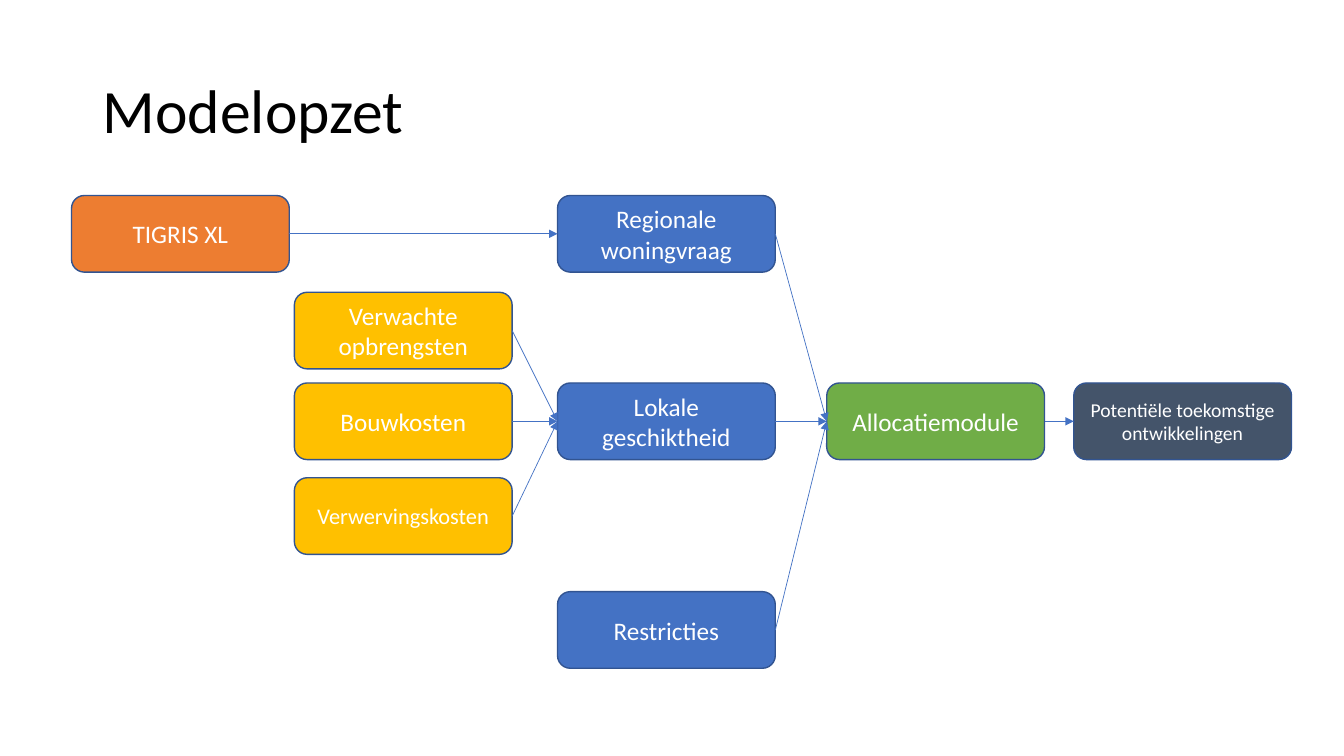
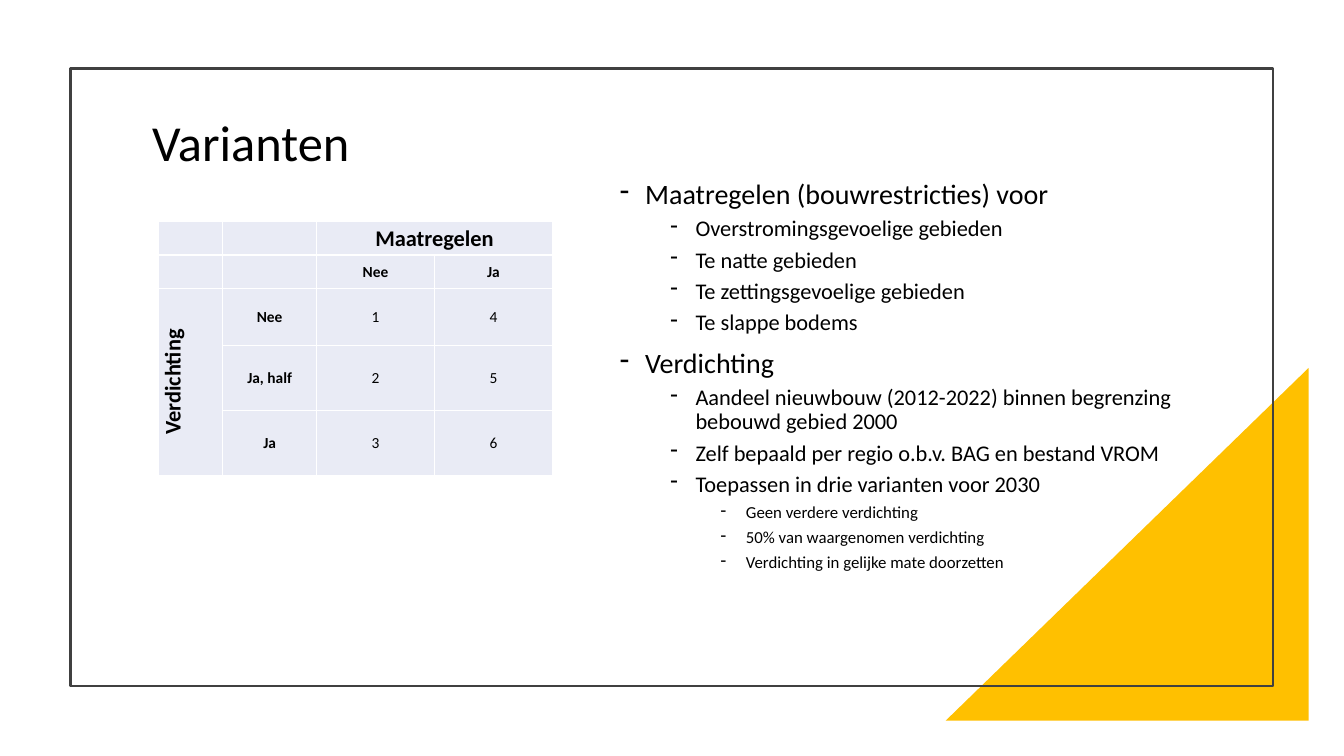
from lxml import etree
from pptx import Presentation
from pptx import util as u
from pptx.dml.color import RGBColor
from pptx.enum import shapes, text
from pptx.oxml.ns import qn

FONT = "Calibri"
WHITE = RGBColor(0xFF, 0xFF, 0xFF)
BLACK = RGBColor(0, 0, 0)
BLUE = RGBColor(0x44, 0x72, 0xC4)
OUTLINE = RGBColor(0x32, 0x54, 0x91)
ORANGE = RGBColor(0xED, 0x7D, 0x31)
GOLD = RGBColor(0xFF, 0xC0, 0x00)
GREEN = RGBColor(0x70, 0xAD, 0x47)
SLATE = RGBColor(0x44, 0x54, 0x6A)
FRAME = RGBColor(0x40, 0x40, 0x40)
CELL = RGBColor(0xE9, 0xEB, 0xF5)

SLIDE_W, SLIDE_H = 13.33, 7.5
TITLE_LAYOUT = 5
RIGHT, LEFT = 3, 1

# Model diagram: column lefts, row tops and the size of every box
COLS = (0.71, 2.92, 5.53, 8.2, 10.65)
ROWS = (1.94, 2.9, 3.8, 4.74, 5.87)
BOX_W, BOX_H = 2.16, 0.76
BOXES = [  # text, column, row, fill, size
    ("Regionale woningvraag", 2, 0, BLUE, 18),
    ("Lokale geschiktheid", 2, 2, BLUE, 18),
    ("Restricties", 2, 4, BLUE, 18),
    ("TIGRIS XL", 0, 0, ORANGE, 18),
    ("Verwachte opbrengsten", 1, 1, GOLD, 18),
    ("Bouwkosten", 1, 2, GOLD, 18),
    ("Verwervingskosten", 1, 3, GOLD, 16),
    ("Allocatiemodule", 3, 2, GREEN, 18),
    ("Potentiële toekomstige ontwikkelingen", 4, 2, SLATE, 14),
]
FLOWS = [  # sources, target
    (("Regionale woningvraag", "Lokale geschiktheid", "Restricties"),
     "Allocatiemodule"),
    (("Verwachte opbrengsten", "Bouwkosten", "Verwervingskosten"),
     "Lokale geschiktheid"),
    (("TIGRIS XL",), "Regionale woningvraag"),
    (("Allocatiemodule",), "Potentiële toekomstige ontwikkelingen"),
]

BULLET_SIZES = (20, 16, 12)
BULLETS = [  # level, text
    (0, "Maatregelen (bouwrestricties) voor"),
    (1, "Overstromingsgevoelige gebieden"),
    (1, "Te natte gebieden"),
    (1, "Te zettingsgevoelige gebieden"),
    (1, "Te slappe bodems"),
    (0, "Verdichting"),
    (1, "Aandeel nieuwbouw (2012-2022) binnen begrenzing bebouwd gebied 2000"),
    (1, "Zelf bepaald per regio o.b.v. BAG en bestand VROM"),
    (1, "Toepassen in drie varianten voor 2030"),
    (2, "Geen verdere verdichting"),
    (2, "50% van waargenomen verdichting"),
    (2, "Verdichting in gelijke mate doorzetten"),
]

VARIANTS = [
    ["", "", "Maatregelen", ""],
    ["", "", "Nee", "Ja"],
    ["Verdichting", "Nee", "1", "4"],
    ["", "Ja, half", "2", "5"],
    ["", "Ja", "3", "6"],
]
VARIANT_COLS = (0.64, 0.93, 1.17, 1.17)
VARIANT_ROWS = (0.33, 0.33, 0.57, 0.64, 0.65)


def inches(box):
    return [u.Inches(v) for v in box]


def add_run(p, words, size, color, bold=False):
    r = p.add_run()
    r.text = words
    r.font.name, r.font.size, r.font.bold = FONT, u.Pt(size), bold
    r.font.color.rgb = color


def titled_slide(prs, words, size, box):
    s = prs.slides.add_slide(prs.slide_layouts[TITLE_LAYOUT])
    title = s.shapes.title
    title.left, title.top, title.width, title.height = inches(box)
    tf = title.text_frame
    tf.auto_size = text.MSO_AUTO_SIZE.NONE
    tf.vertical_anchor = text.MSO_ANCHOR.MIDDLE
    p = tf.paragraphs[0]
    p.alignment, p.line_spacing = text.PP_ALIGN.LEFT, 0.9
    add_run(p, words, size, BLACK)
    return s


def add_shape(s, preset, box, fill=None, line=None, width=1):
    sp = s.shapes.add_shape(preset, *inches(box))
    sp.shadow.inherit = False
    if fill is None:
        sp.fill.background()
    else:
        sp.fill.solid()
        sp.fill.fore_color.rgb = fill
    if line is None:
        sp.line.fill.background()
    else:
        sp.line.color.rgb, sp.line.width = line, u.Pt(width)
    return sp


def model_box(s, words, col, row, fill, size):
    sp = add_shape(s, shapes.MSO_SHAPE.ROUNDED_RECTANGLE,
                   (COLS[col], ROWS[row], BOX_W, BOX_H), fill, OUTLINE)
    tf = sp.text_frame
    tf.word_wrap, tf.vertical_anchor = True, text.MSO_ANCHOR.MIDDLE
    p = tf.paragraphs[0]
    p.alignment = text.PP_ALIGN.CENTER
    add_run(p, words, size, WHITE)
    return sp


def arrow(s, source, target):
    line = s.shapes.add_connector(shapes.MSO_CONNECTOR.STRAIGHT, 0, 0, 0, 0)
    line.begin_connect(source, RIGHT)
    line.end_connect(target, LEFT)
    line.line.color.rgb, line.line.width = BLUE, u.Pt(0.5)
    etree.SubElement(line.line._get_or_add_ln(), qn("a:tailEnd"), type="triangle")
    etree.SubElement(line._element.spPr, qn("a:effectLst"))


def bullet_list(s, box):
    tf = s.shapes.add_textbox(*inches(box)).text_frame
    tf.word_wrap = True
    for i, (level, words) in enumerate(BULLETS):
        p = tf.add_paragraph() if i else tf.paragraphs[0]
        p.level = level
        pPr = p._p.get_or_add_pPr()
        pPr.set("marL", str(u.Inches(0.25 + 0.5 * level)))
        pPr.set("indent", str(u.Inches(-0.25)))
        etree.SubElement(pPr, qn("a:buChar"), char="-")
        p.line_spacing = 0.9
        if i:
            p.space_before = u.Pt(5 if level else 10)
        add_run(p, words, BULLET_SIZES[level], BLACK)


def style_cell(cell):
    tcPr = cell._tc.get_or_add_tcPr()
    for side in ("lnL", "lnR", "lnT", "lnB"):
        ln = etree.SubElement(tcPr, qn("a:" + side), w=str(u.Pt(1)))
        fill = etree.SubElement(ln, qn("a:solidFill"))
        etree.SubElement(fill, qn("a:srgbClr"), val=str(WHITE))
    cell.fill.solid()
    cell.fill.fore_color.rgb = CELL
    cell.vertical_anchor = text.MSO_ANCHOR.MIDDLE
    cell.margin_left = cell.margin_right = cell.margin_top = u.Inches(0.01)
    cell.margin_bottom = 0


def variant_table(s, left, top):
    box = (left, top, sum(VARIANT_COLS), sum(VARIANT_ROWS))
    table = s.shapes.add_table(len(VARIANT_ROWS), len(VARIANT_COLS),
                               *inches(box)).table
    table.first_row = table.horz_banding = False
    for col, width in zip(table.columns, VARIANT_COLS):
        col.width = u.Inches(width)
    for row, height in zip(table.rows, VARIANT_ROWS):
        row.height = u.Inches(height)
    for i, values in enumerate(VARIANTS):
        for j, words in enumerate(values):
            cell = table.cell(i, j)
            style_cell(cell)
            if words:
                p = cell.text_frame.paragraphs[0]
                p.alignment = text.PP_ALIGN.CENTER
                heading = words in ("Maatregelen", "Verdichting")
                add_run(p, words, 16 if heading else 11, BLACK,
                        not words.isdigit())
    table.cell(0, 2).merge(table.cell(0, 3))
    side_heading = table.cell(2, 0)
    side_heading.merge(table.cell(4, 0))
    side_heading._tc.get_or_add_tcPr().set("vert", "vert270")


def model_slide(prs):
    s = titled_slide(prs, "Modelopzet", 44, (0.92, 0.4, 11.5, 1.45))
    boxes = {spec_row[0]: model_box(s, *spec_row) for spec_row in BOXES}
    for sources, target in FLOWS:
        for source in sources:
            arrow(s, boxes[source], boxes[target])


def variants_slide(prs):
    s = titled_slide(prs, "Varianten", 36, (1.41, 1.15, 10.51, 0.59))
    corner = add_shape(s, shapes.MSO_SHAPE.RIGHT_TRIANGLE,
                       (9.38, 3.65, 3.6, 3.5), GOLD)
    corner._element.spPr.xfrm.set("flipH", "1")
    add_shape(s, shapes.MSO_SHAPE.RECTANGLE, (0.7, 0.68, 11.93, 6.13),
              line=FRAME, width=1.5)
    bullet_list(s, (6.05, 1.74, 6.35, 4.23))
    variant_table(s, 1.57, 2.2)


def main():
    prs = Presentation()
    prs.slide_width, prs.slide_height = inches((SLIDE_W, SLIDE_H))
    model_slide(prs)
    variants_slide(prs)
    prs.save("out.pptx")


if __name__ == "__main__":
    main()
